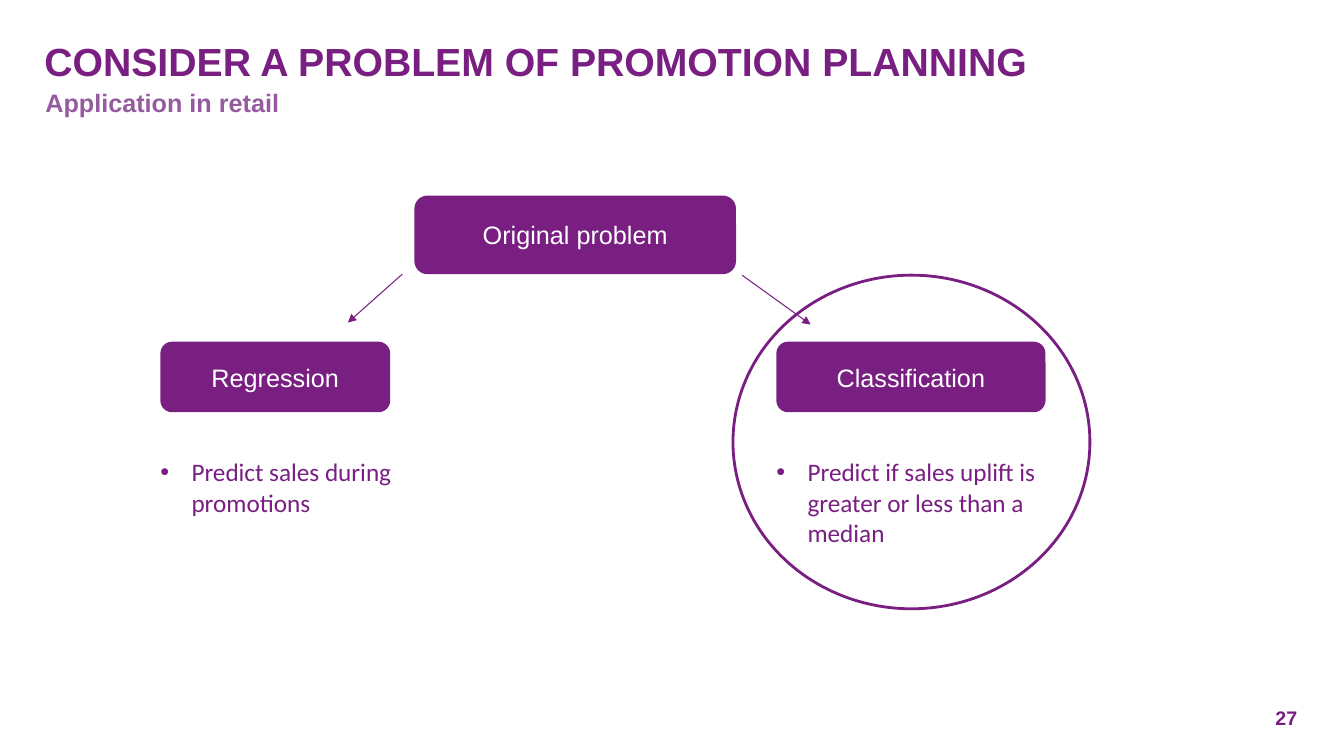
from lxml.etree import SubElement
from pptx import Presentation
from pptx.dml.color import RGBColor
from pptx.enum.shapes import MSO_CONNECTOR, MSO_SHAPE
from pptx.enum.text import MSO_ANCHOR, MSO_AUTO_SIZE, PP_ALIGN
from pptx.oxml.ns import qn
from pptx.util import Pt

EMU_PER_PX = 9144  # 100 px to the inch
PURPLE = RGBColor(0x79, 0x1F, 0x82)
LIGHT_PURPLE = RGBColor(0x96, 0x5A, 0xA0)
WHITE = RGBColor(0xFF, 0xFF, 0xFF)

REGRESSION_LEFT = 159
CLASSIFICATION_LEFT = 770
BRANCH_TOP = 339
BULLET_TOP = 453
BULLET_INDENT = 31


def px(*lengths):
    return [length * EMU_PER_PX for length in lengths]


def write(shape, text, size, color, font="Arial", bold=False,
          align=PP_ALIGN.LEFT, anchor=MSO_ANCHOR.TOP):
    """Fill a shape with one paragraph, without insets, and return it."""
    frame = shape.text_frame
    frame.word_wrap = True
    frame.auto_size = MSO_AUTO_SIZE.NONE
    frame.vertical_anchor = anchor
    frame.margin_left = frame.margin_top = 0
    frame.margin_right = frame.margin_bottom = 0
    paragraph = frame.paragraphs[0]
    paragraph.text = text
    paragraph.alignment = align
    paragraph.font.name = font
    paragraph.font.size = Pt(size)
    paragraph.font.bold = bold
    paragraph.font.color.rgb = color
    return paragraph


def add_title(slide, text, box):
    title = slide.shapes.title
    title.left, title.top, title.width, title.height = px(*box)
    write(title, text, 28, PURPLE, bold=True, anchor=MSO_ANCHOR.BOTTOM)


def add_text(slide, text, box, size, color, **style):
    return write(slide.shapes.add_textbox(*px(*box)), text, size, color, **style)


def add_problem_box(slide, text, box):
    shape = slide.shapes.add_shape(MSO_SHAPE.ROUNDED_RECTANGLE, *px(*box))
    shape.shadow.inherit = False
    shape.fill.solid()
    shape.fill.fore_color.rgb = PURPLE
    shape.line.fill.background()
    write(shape, text, 18, WHITE, align=PP_ALIGN.CENTER, anchor=MSO_ANCHOR.MIDDLE)


def add_bullet(slide, text, box):
    paragraph = add_text(slide, text, box, 18, PURPLE, font="Calibri")
    properties = paragraph._p.get_or_add_pPr()
    indent, = px(BULLET_INDENT)
    properties.set("marL", str(indent))
    properties.set("indent", str(-indent))
    bullet_font = properties.makeelement(qn("a:buFont"), {"typeface": "Arial"})
    bullet = properties.makeelement(qn("a:buChar"), {"char": "•"})
    properties.insert(0, bullet_font)
    properties.insert(1, bullet)


def add_arrow(slide, start, end):
    arrow = slide.shapes.add_connector(MSO_CONNECTOR.STRAIGHT, *px(*start, *end))
    arrow.line.color.rgb = PURPLE
    arrow.line.width = Pt(0.75)
    SubElement(arrow.line._get_or_add_ln(), qn("a:tailEnd"), type="triangle")
    SubElement(arrow._element.spPr, qn("a:effectLst"))


def add_highlight(slide, box):
    ellipse = slide.shapes.add_shape(MSO_SHAPE.OVAL, *px(*box))
    ellipse.shadow.inherit = False
    ellipse.fill.background()
    ellipse.line.color.rgb = PURPLE
    ellipse.line.width = Pt(2)


def main():
    presentation = Presentation()
    presentation.slide_width, presentation.slide_height = px(1333, 750)
    slide = presentation.slides.add_slide(presentation.slide_layouts[5])

    add_title(slide, "CONSIDER A PROBLEM OF PROMOTION PLANNING", (44, 29, 1242, 55))
    subtitle = add_text(slide, "Application in retail", (45, 81, 1241, 47),
                        18, LIGHT_PURPLE, bold=True)
    subtitle.line_spacing = 1.2
    add_text(slide, "27", (1265, 703, 36, 21), 14, PURPLE,
             bold=True, anchor=MSO_ANCHOR.BOTTOM)

    add_problem_box(slide, "Original problem", (411, 194, 319, 78))
    add_problem_box(slide, "Regression", (REGRESSION_LEFT, BRANCH_TOP, 228, 70))
    add_problem_box(slide, "Classification", (CLASSIFICATION_LEFT, BRANCH_TOP, 267, 70))

    add_bullet(slide, "Predict sales during promotions",
               (REGRESSION_LEFT, BULLET_TOP, 240, 179))
    add_bullet(slide, "Predict if sales uplift is greater or less than a median",
               (CLASSIFICATION_LEFT, BULLET_TOP, 277, 105))

    add_arrow(slide, (399, 272), (345, 320))
    add_arrow(slide, (736, 273), (804, 322))
    add_highlight(slide, (727, 273, 354, 331))

    presentation.save("out.pptx")


if __name__ == "__main__":
    main()
